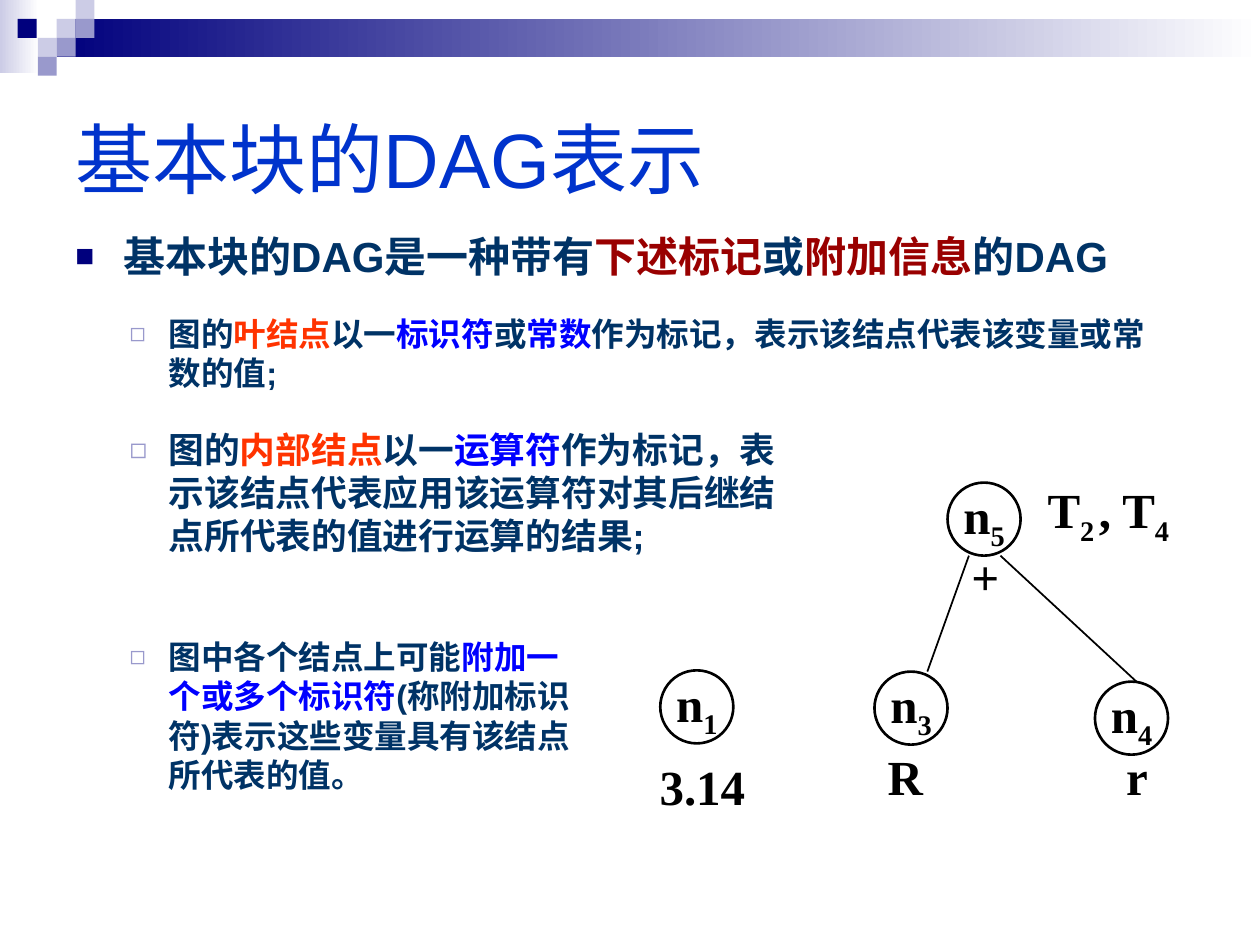
from dataclasses import dataclass

from lxml import etree
from pptx import Presentation
from pptx import util as u
from pptx.dml.color import RGBColor
from pptx.enum import shapes, text
from pptx.oxml.ns import qn

COLORS = {
    "white": "FFFFFF", "black": "000000", "navy": "00007D", "pale": "CCCCE6",
    "lilac": "9999CC", "title": "0033CC", "body": "003366", "maroon": "990000",
    "orange": "FF3300", "blue": "0000FF",
}
BODY_FONT = "Arial"
GRAPH_FONT = "Times New Roman"
SQUARE = 0.15
NODE_SIZE = 0.58
LABEL_HEIGHT = 0.33


@dataclass
class Bullet:
    char: str
    color: str
    percent: int
    margin: float
    hanging: float
    level: int


@dataclass
class BulletText:
    left: float
    top: float
    width: float
    height: float
    size: float
    bullet: Bullet
    runs: list[tuple[str, str]]


@dataclass
class Node:
    left: float
    top: float
    index: str


@dataclass
class Label:
    left: float
    top: float
    width: float
    content: str
    subscript: str = ""


MAIN = Bullet("■", "navy", 75, 0.38, 0.38, 0)
SUB = Bullet("◻", "lilac", 80, 0.81, 0.31, 1)

# Decorative squares: left, top, colour
SQUARES = [
    (0.45, 0.15, "pale"), (0.6, 0, "pale"), (0.6, 0.15, "lilac"),
    (0.3, 0.3, "pale"), (0.14, 0.15, "navy"), (0.45, 0.3, "lilac"),
    (0.3, 0.45, "lilac"),
]
BULLET_TEXTS = [
    BulletText(0.5, 1.78, 9, 0.55, 24, MAIN, [
        ("基本块的DAG是一种带有", "body"), ("下述标记", "maroon"), ("或", "body"),
        ("附加信息", "maroon"), ("的DAG", "body")]),
    BulletText(0.43, 2.44, 8.82, 0.74, 18.6, SUB, [
        ("图的", "body"), ("叶结点", "orange"), ("以一", "body"),
        ("标识符", "blue"), ("或", "body"), ("常数", "blue"),
        ("作为标记，表示该结点代表该变量或常数的值;", "body")]),
    BulletText(0.43, 3.35, 5.91, 1.13, 20.4, SUB, [
        ("图的", "body"), ("内部结点", "orange"), ("以一", "body"), ("运算符", "blue"),
        ("作为标记，表示该结点代表应用该运算符对其后继结点所代表的值进行运算的结果;", "body")]),
    BulletText(0.43, 5.01, 4.33, 1.37, 18.6, SUB, [
        ("图中各个结点上可能", "body"), ("附加一个或多个标识符", "blue"),
        ("(称附加标识符)表示这些变量具有该结点所代表的值。", "body")]),
]
NODES = [Node(5.24, 5.32, "1"), Node(6.94, 5.33, "3"),
         Node(8.69, 5.41, "4"), Node(7.52, 3.83, "5")]
EDGES = [(7.69, 4.41, 7.36, 5.33), (7.94, 4.41, 9.02, 5.41)]
LABELS = [
    Label(5.16, 6.07, 0.83, "3.14"), Label(6.77, 5.99, 0.83, "R"),
    Label(8.61, 5.99, 0.83, "r"), Label(7.61, 4.41, 0.42, "+"),
    Label(8.21, 3.91, 0.58, "T", "2"), Label(8.66, 3.91, 0.68, ", T", "4"),
]


def rgb(name: str) -> RGBColor:
    return RGBColor.from_string(COLORS[name])


def box(left: float, top: float, width: float, height: float) -> list[u.Length]:
    return [u.Inches(value) for value in (left, top, width, height)]


def add_run(paragraph, content: str, font_name: str, size: float, color: str, bold=True):
    run = paragraph.add_run()
    run.text = content
    run.font.name = font_name
    run.font.size = u.Pt(size)
    run.font.bold = bold
    run.font.color.rgb = rgb(color)
    return run


def add_rectangle(slide, left: float, top: float, width: float, height: float,
                  color: str, fade_to: str = "") -> None:
    shape = slide.shapes.add_shape(shapes.MSO_SHAPE.RECTANGLE, *box(left, top, width, height))
    shape.shadow.inherit = False
    shape.line.fill.background()
    if fade_to:
        shape.fill.gradient()
        shape.fill.gradient_angle = 0
        for stop, name in zip(shape.fill.gradient_stops, (color, fade_to)):
            stop.color.rgb = rgb(name)
    else:
        shape.fill.solid()
        shape.fill.fore_color.rgb = rgb(color)


def set_bullet(paragraph, bullet: Bullet) -> None:
    paragraph.level = bullet.level
    properties = paragraph._p.get_or_add_pPr()
    properties.set("marL", str(u.Inches(bullet.margin)))
    properties.set("indent", str(-u.Inches(bullet.hanging)))
    color = etree.SubElement(properties, qn("a:buClr"))
    etree.SubElement(color, qn("a:srgbClr"), val=COLORS[bullet.color])
    etree.SubElement(properties, qn("a:buSzPct"), val=str(bullet.percent * 1000))
    etree.SubElement(properties, qn("a:buFont"), typeface=BODY_FONT)
    etree.SubElement(properties, qn("a:buChar"), char=bullet.char)


def add_bullet_text(slide, item: BulletText) -> None:
    shape = slide.shapes.add_textbox(*box(item.left, item.top, item.width, item.height))
    shape.text_frame.word_wrap = True
    paragraph = shape.text_frame.paragraphs[0]
    set_bullet(paragraph, item.bullet)
    for content, color in item.runs:
        add_run(paragraph, content, BODY_FONT, item.size, color)


def write_symbol(shape, content: str, subscript: str) -> None:
    frame = shape.text_frame
    frame.word_wrap = False
    frame.margin_left = frame.margin_right = 0
    frame.vertical_anchor = text.MSO_ANCHOR.MIDDLE
    paragraph = frame.paragraphs[0]
    paragraph.alignment = text.PP_ALIGN.CENTER
    add_run(paragraph, content, GRAPH_FONT, 28, "black")
    if subscript:
        run = add_run(paragraph, subscript, GRAPH_FONT, 28, "black")
        run._r.get_or_add_rPr().set("baseline", "-25000")


def add_node(slide, node: Node) -> None:
    shape = slide.shapes.add_shape(
        shapes.MSO_SHAPE.OVAL, *box(node.left, node.top, NODE_SIZE, NODE_SIZE))
    shape.shadow.inherit = False
    shape.fill.background()
    shape.line.color.rgb = rgb("black")
    shape.line.width = u.Pt(1.5)
    write_symbol(shape, "n", node.index)


def add_label(slide, label: Label) -> None:
    shape = slide.shapes.add_textbox(*box(label.left, label.top, label.width, LABEL_HEIGHT))
    write_symbol(shape, label.content, label.subscript)


def add_edge(slide, x1: float, y1: float, x2: float, y2: float) -> None:
    connector = slide.shapes.add_connector(shapes.MSO_CONNECTOR.STRAIGHT, *box(x1, y1, x2, y2))
    connector.line.color.rgb = rgb("black")
    connector.line.width = u.Pt(1)
    etree.SubElement(connector._element.spPr, qn("a:effectLst"))


def main() -> None:
    presentation = Presentation()
    presentation.slide_width, presentation.slide_height = u.Inches(10), u.Inches(7.5)
    slide = presentation.slides.add_slide(presentation.slide_layouts[6])

    # Header decoration
    add_rectangle(slide, 0, 0, 0.31, 0.58, "pale", "white")
    add_rectangle(slide, 0.45, 0.15, 9.55, 0.3, "navy", "white")
    for left, top, color in SQUARES:
        add_rectangle(slide, left, top, SQUARE, SQUARE, color)

    # Title
    title = slide.shapes.add_textbox(*box(0.5, 0.5, 9, 1.5))
    title.text_frame.word_wrap = True
    title.text_frame.vertical_anchor = text.MSO_ANCHOR.MIDDLE
    add_run(title.text_frame.paragraphs[0], "基本块的DAG表示", BODY_FONT, 44, "title", bold=False)

    # Bulleted definitions
    for item in BULLET_TEXTS:
        add_bullet_text(slide, item)

    # Example graph
    for node in NODES:
        add_node(slide, node)
    for edge in EDGES:
        add_edge(slide, *edge)
    for label in LABELS:
        add_label(slide, label)

    presentation.save("out.pptx")


if __name__ == "__main__":
    main()
